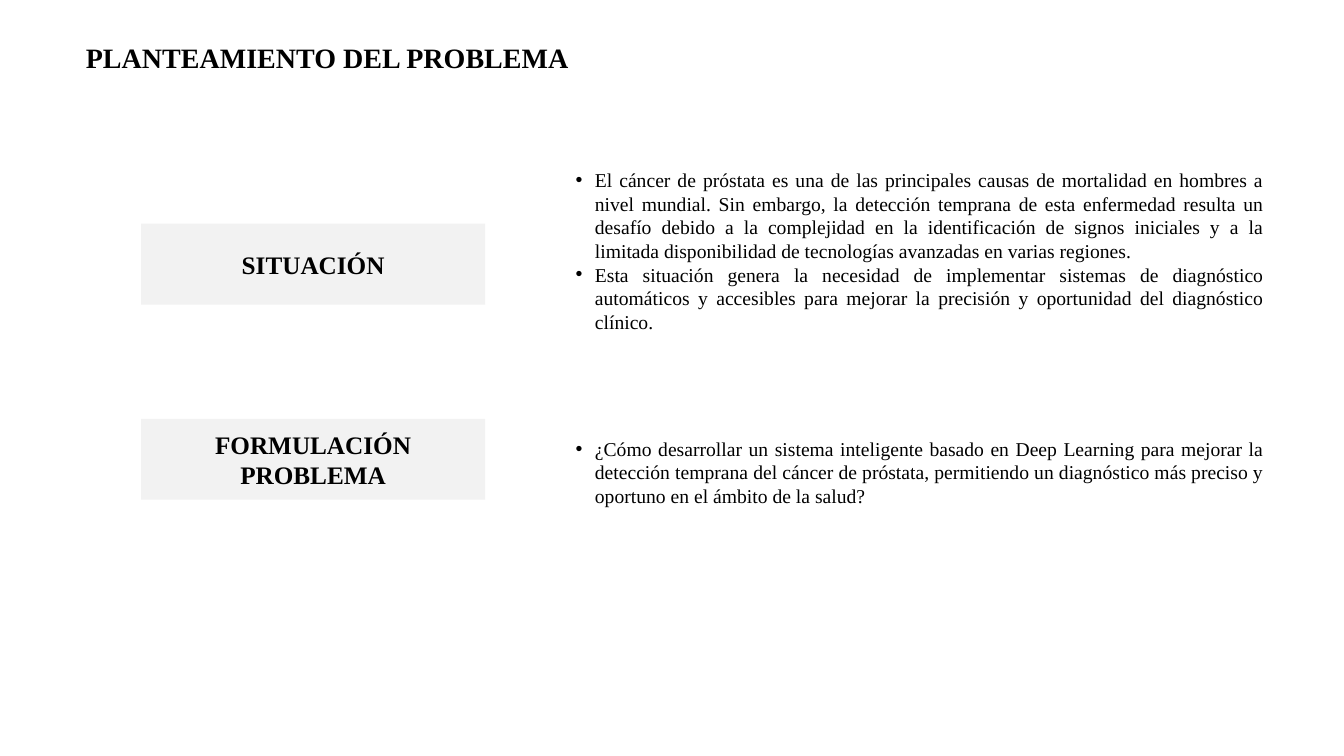
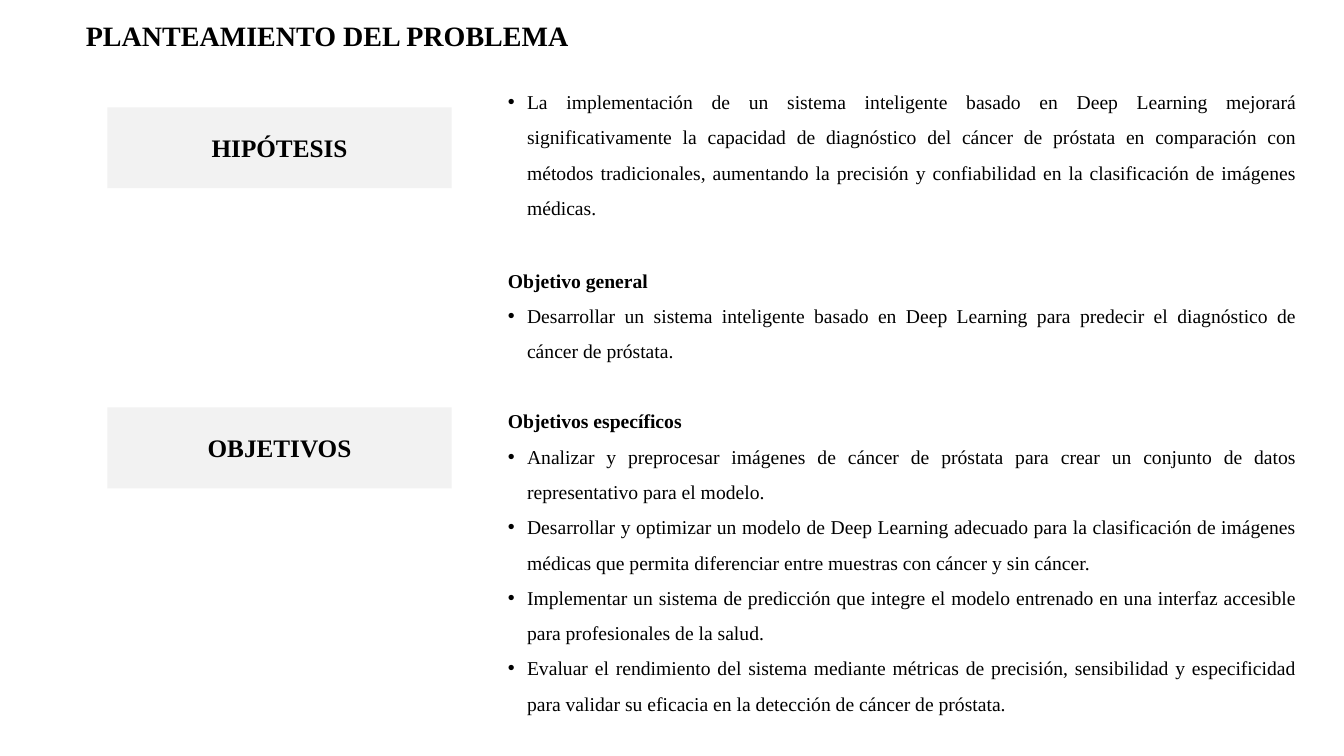
from lxml.etree import SubElement
from pptx import Presentation
from pptx.dml.color import RGBColor
from pptx.enum.shapes import MSO_SHAPE
from pptx.enum.text import MSO_ANCHOR, MSO_AUTO_SIZE, PP_ALIGN
from pptx.oxml.ns import qn
from pptx.util import Inches, Pt


def color(code):
    return RGBColor.from_string(code)


class Deck:
    """Shared style and the current slide; lengths are percent of the slide."""
    FONT, INK, GREY = "Times New Roman", "000000", "808080"
    INDENT = Inches(0.19)
    BOX = (25.6, 10.7)

    def __init__(self):
        self.prs = Presentation()
        self.prs.slide_width = Inches(13.33)
        self.prs.slide_height = Inches(7.5)

    def place(self, x, y, w, h):
        wide, high = self.prs.slide_width, self.prs.slide_height
        return [round(part * side / 100)
                for part, side in zip((x, y, w, h), (wide, high) * 2)]

    def style(self, para, text, size, bold=False):
        para.text = text
        font = para.font
        font.name, font.size, font.bold = self.FONT, Pt(size), bold
        font.color.rgb = color(self.INK)

    def frame(self, x, y, w, h, wrap=True):
        box = self.slide.shapes.add_textbox(*self.place(x, y, w, h))
        box.text_frame.word_wrap = wrap
        box.text_frame.auto_size = MSO_AUTO_SIZE.SHAPE_TO_FIT_TEXT
        return box.text_frame

    def start(self, title, y):
        self.slide = self.prs.slides.add_slide(self.prs.slide_layouts[6])
        frame = self.frame(5.65, y, 37.8, 5.8, wrap=False)
        self.style(frame.paragraphs[0], title, 20, True)

    def label(self, text, x, y):
        box = self.slide.shapes.add_shape(
            MSO_SHAPE.RECTANGLE, *self.place(x, y, *self.BOX))
        box.shadow.inherit = False
        box.line.fill.background()
        box.fill.solid()
        box.fill.fore_color.rgb = color(self.GREY)
        # Let only a tenth of the grey through
        tint = box.fill._xPr.find(qn("a:solidFill"))[0]
        SubElement(tint, qn("a:alpha"), val="10000")
        frame = box.text_frame
        frame.word_wrap = True
        frame.vertical_anchor = MSO_ANCHOR.MIDDLE
        para = frame.paragraphs[0]
        para.alignment = PP_ALIGN.CENTER
        self.style(para, text, 18, True)

    def bullet(self, para):
        props = para._p.get_or_add_pPr()
        props.set("marL", str(self.INDENT))
        props.set("indent", str(-self.INDENT))
        mark = SubElement(props, qn("a:buChar"), char="•")
        face = SubElement(props, qn("a:buFont"), typeface="Arial")
        mark.addprevious(face)
        # Bullets come before the default run style
        for part in props.findall(qn("a:defRPr")):
            props.append(part)

    def body(self, groups, x, y, w, h, pitch=1.0):
        """Each group is an optional heading and its bullet points."""
        frame = self.frame(x, y, w, h)
        para = None
        for head, points in groups:
            lines = [(head, True)] if head else []
            lines += [(point, False) for point in points]
            for spot, (text, bold) in enumerate(lines):
                gap = para is not None and spot == 0
                para = frame.add_paragraph() if para else frame.paragraphs[0]
                para.alignment = PP_ALIGN.JUSTIFY
                para.line_spacing = pitch
                if gap:
                    para.space_before = Pt(25)
                self.style(para, text, 14, bold)
                if not bold:
                    self.bullet(para)


TITLE = "PLANTEAMIENTO DEL PROBLEMA"


def main():
    deck = Deck()

    # Situation and question
    deck.start(TITLE, 4.7)
    left, right, wide = 10.5, 42.1, 52.7
    deck.label("SITUACIÓN", left, 29.6)
    deck.label("FORMULACIÓN PROBLEMA", left, 55.4)
    deck.body([(None, [
        "El cáncer de próstata es una de las principales causas de mortalidad "
        "en hombres a nivel mundial. Sin embargo, la detección temprana de "
        "esta enfermedad resulta un desafío debido a la complejidad en la "
        "identificación de signos iniciales y a la limitada disponibilidad "
        "de tecnologías avanzadas en varias regiones.",
        "Esta situación genera la necesidad de implementar sistemas de "
        "diagnóstico automáticos y accesibles para mejorar la precisión y "
        "oportunidad del diagnóstico clínico.",
    ])], right, 21.6, wide, 23.3)
    deck.body([(None, [
        "¿Cómo desarrollar un sistema inteligente basado en Deep Learning "
        "para mejorar la detección temprana del cáncer de próstata, "
        "permitiendo un diagnóstico más preciso y oportuno en el ámbito de "
        "la salud?",
    ])], right, 57.1, wide, 10.8)

    # Hypothesis and goals
    deck.start(TITLE, 1.8)
    left, right, wide = 8, 37.05, 60.2
    deck.label("HIPÓTESIS", left, 14.2)
    deck.label("OBJETIVOS", left, 53.9)
    deck.body([(None, [
        "La implementación de un sistema inteligente basado en Deep Learning "
        "mejorará significativamente la capacidad de diagnóstico del cáncer "
        "de próstata en comparación con métodos tradicionales, aumentando la "
        "precisión y confiabilidad en la clasificación de imágenes médicas.",
    ])], right, 9.7, wide, 19.6, 1.5)
    deck.body([
        ("Objetivo general", [
            "Desarrollar un sistema inteligente basado en Deep Learning para "
            "predecir el diagnóstico de cáncer de próstata.",
        ]),
        ("Objetivos específicos", [
            "Analizar y preprocesar imágenes de cáncer de próstata para crear "
            "un conjunto de datos representativo para el modelo.",
            "Desarrollar y optimizar un modelo de Deep Learning adecuado para "
            "la clasificación de imágenes médicas que permita diferenciar "
            "entre muestras con cáncer y sin cáncer.",
            "Implementar un sistema de predicción que integre el modelo "
            "entrenado en una interfaz accesible para profesionales de la "
            "salud.",
            "Evaluar el rendimiento del sistema mediante métricas de "
            "precisión, sensibilidad y especificidad para validar su eficacia "
            "en la detección de cáncer de próstata.",
        ]),
    ], right, 33.3, wide, 62, 1.5)

    deck.prs.save("out.pptx")


if __name__ == "__main__":
    main()
